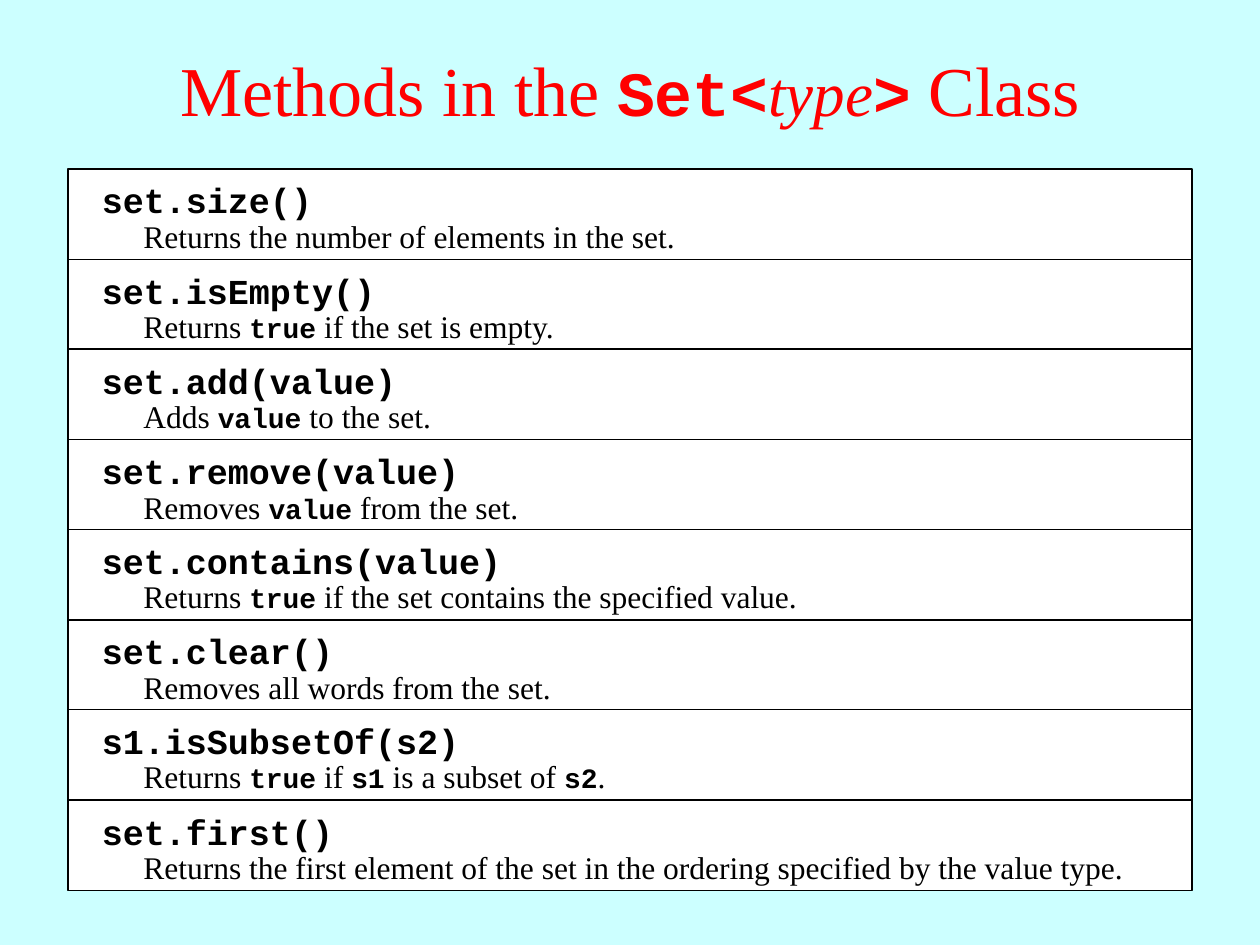
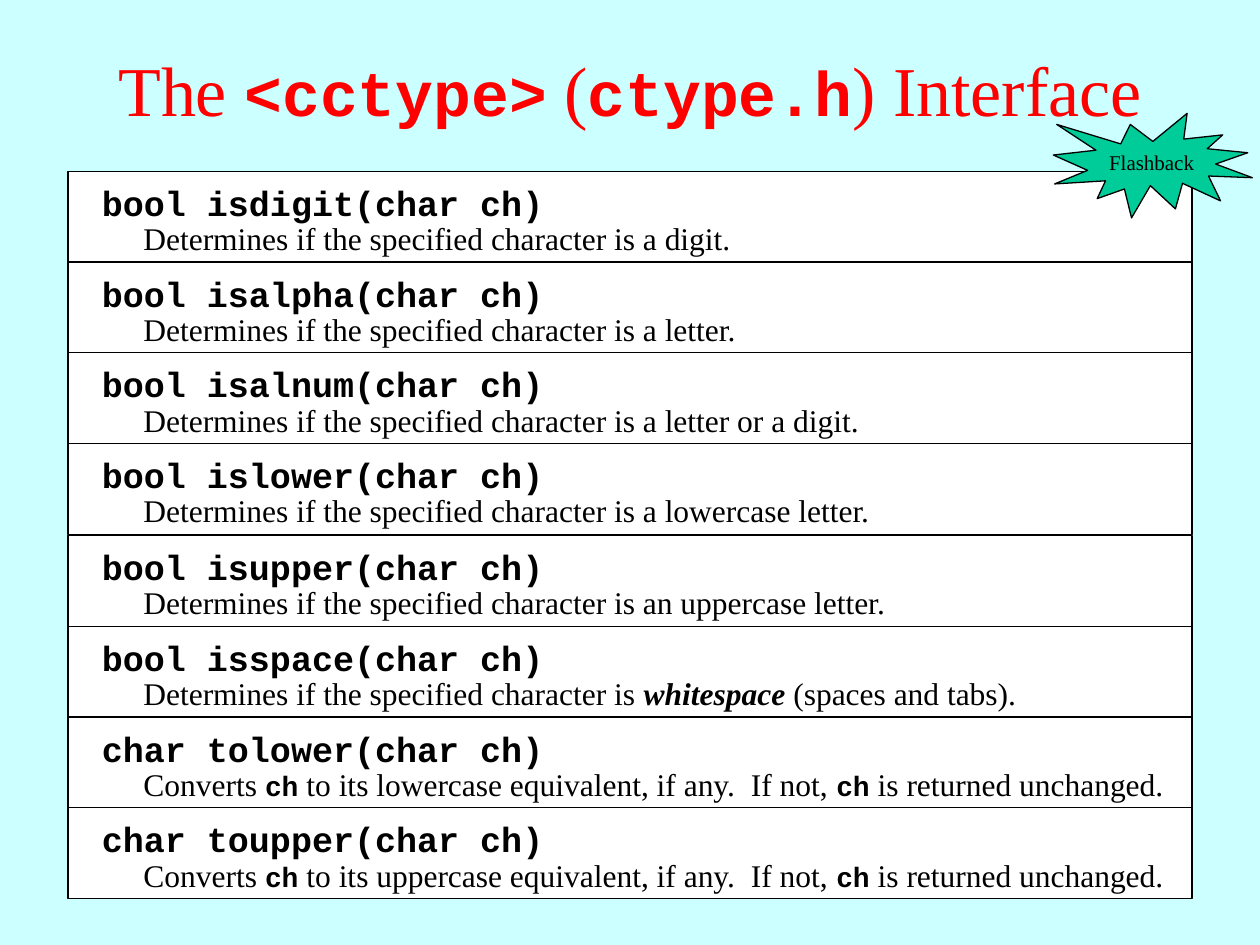
"""Build two reference slides: Set class methods and the cctype interface."""
from pptx import Presentation
from pptx.dml.color import RGBColor
from pptx.enum.shapes import MSO_SHAPE
from pptx.enum.text import MSO_ANCHOR, MSO_AUTO_SIZE, PP_ALIGN
from pptx.util import Pt

PX = 9144
COLORS = {"background": "CCFFFF", "title": "FF0000", "row": "FFFFFF",
          "ink": "000000", "burst": "00CC99"}
SERIF, MONO = "Times New Roman", "Courier New"
STYLES = {
    "title": {"name": SERIF, "size": Pt(40), "color": "title"},
    "title code": {"name": MONO, "size": Pt(36), "bold": True, "color": "title"},
    "title type": {"name": SERIF, "size": Pt(36), "italic": True, "color": "title"},
    "signature": {"name": MONO, "size": Pt(20), "bold": True, "color": "ink"},
    "body": {"name": SERIF, "size": Pt(18), "color": "ink"},
    "code": {"name": MONO, "size": Pt(16), "bold": True, "color": "ink"},
    "term": {"name": SERIF, "size": Pt(18), "bold": True, "italic": True, "color": "ink"},
    "burst": {"name": SERIF, "size": Pt(12), "color": "ink"},
}

SET_TITLE = [("Methods in the ", "title"), ("Set<", "title code"), ("type", "title type"),
             (">", "title code"), (" Class", "title")]
SET_METHODS = [
    ("set.size()", ["Returns the number of elements in the set."]),
    ("set.isEmpty()", ["Returns ", ("true", "code"), " if the set is empty."]),
    ("set.add(value)", ["Adds ", ("value", "code"), " to the set."]),
    ("set.remove(value)", ["Removes ", ("value", "code"), " from the set."]),
    ("set.contains(value)",
     ["Returns ", ("true", "code"), " if the set contains the specified value."]),
    ("set.clear()", ["Removes all words from the set."]),
    ("s1.isSubsetOf(s2)", ["Returns ", ("true", "code"), " if ", ("s1", "code"),
                           " is a subset of ", ("s2", "code"), "."]),
    ("set.first()",
     ["Returns the first element of the set in the ordering specified by the value type."]),
]

CCTYPE_TITLE = [("The ", "title"), ("<cctype>", "title code"), (" (", "title"),
                ("ctype.h", "title code"), (") Interface", "title")]
CHARACTER_TESTS = [
    ("isdigit", ["a digit."]),
    ("isalpha", ["a letter."]),
    ("isalnum", ["a letter or a digit."]),
    ("islower", ["a lowercase letter."]),
    ("isupper", ["an uppercase letter."]),
    ("isspace", [("whitespace ", "term"), "(spaces and tabs)."]),
]
CCTYPE_FUNCTIONS = [
    (f"bool {name}(char ch)", ["Determines if the specified character is ", *meaning])
    for name, meaning in CHARACTER_TESTS
] + [
    (f"char to{case}(char ch)",
     ["Converts ", ("ch", "code"), f" to its {case}case equivalent, if any.  If not, ",
      ("ch", "code"), " is returned unchanged."])
    for case in ("lower", "upper")
]


class Deck:
    """Hold the presentation style and the current slide."""

    def __init__(self):
        self.presentation = Presentation()
        self.presentation.slide_width = 1000 * PX
        self.presentation.slide_height = 750 * PX
        self.paint(self.presentation.slide_master.background.fill, "background")
        self.slide = None

    def paint(self, fill, color):
        fill.solid()
        fill.fore_color.rgb = RGBColor.from_string(COLORS[color])

    def fill_text(self, frame, pieces, alignment=PP_ALIGN.LEFT, **settings):
        for name, value in settings.items():
            setattr(frame, name, value)
        paragraph = frame.paragraphs[0]
        paragraph.alignment = alignment
        for piece in pieces:
            text, style = (piece, "body") if isinstance(piece, str) else piece
            run = paragraph.add_run()
            run.text = text
            for name, value in STYLES[style].items():
                if name == "color":
                    run.font.color.rgb = RGBColor.from_string(COLORS[value])
                else:
                    setattr(run.font, name, value)

    def new_slide(self, pieces):
        self.slide = self.presentation.slides.add_slide(self.presentation.slide_layouts[5])
        title = self.slide.shapes.title
        box = {"left": 0, "top": 8, "width": 1000, "height": 125}
        for name, value in box.items():
            setattr(title, name, value * PX)
        self.fill_text(title.text_frame, pieces, PP_ALIGN.CENTER,
                       vertical_anchor=MSO_ANCHOR.MIDDLE, auto_size=MSO_AUTO_SIZE.NONE)

    def shape(self, shapes, kind, box, color):
        shape = shapes.add_shape(kind, *(length * PX for length in box))
        shape.shadow.inherit = False
        self.paint(shape.fill, color)
        self.paint(shape.line.fill, "ink")
        shape.line.width = Pt(0.75)
        return shape

    def text(self, shapes, box, pieces, inset):
        textbox = shapes.add_textbox(*(length * PX for length in box))
        self.fill_text(textbox.text_frame, pieces, word_wrap=True,
                       auto_size=MSO_AUTO_SIZE.SHAPE_TO_FIT_TEXT,
                       margin_top=inset * PX, margin_bottom=(10 - inset) * PX)

    def entry(self, top, signature, description):
        shapes = self.slide.shapes.add_group_shape().shapes
        self.shape(shapes, MSO_SHAPE.RECTANGLE, (54, top, 892, 72), "row")
        self.text(shapes, (71, top - 1, 858, 43), [(signature, "signature")], 9)
        self.text(shapes, (104, top + 31, 833, 40), description, 7)

    def entries(self, first_top, last_top, items):
        step = (last_top - first_top) / (len(items) - 1)
        for index, (signature, description) in enumerate(items):
            self.entry(round(first_top + index * step), signature, description)

    def burst(self, box, label):
        shape = self.shape(self.slide.shapes, MSO_SHAPE.EXPLOSION1, box, "burst")
        self.fill_text(shape.text_frame, [(label, "burst")], PP_ALIGN.CENTER,
                       vertical_anchor=MSO_ANCHOR.MIDDLE, word_wrap=False)


def main():
    deck = Deck()
    deck.new_slide(SET_TITLE)
    deck.entries(134, 635, SET_METHODS)
    deck.new_slide(CCTYPE_TITLE)
    deck.entries(136, 641, CCTYPE_FUNCTIONS)
    deck.burst((836, 90, 158, 83), "Flashback")
    deck.presentation.save("out.pptx")


if __name__ == "__main__":
    main()
